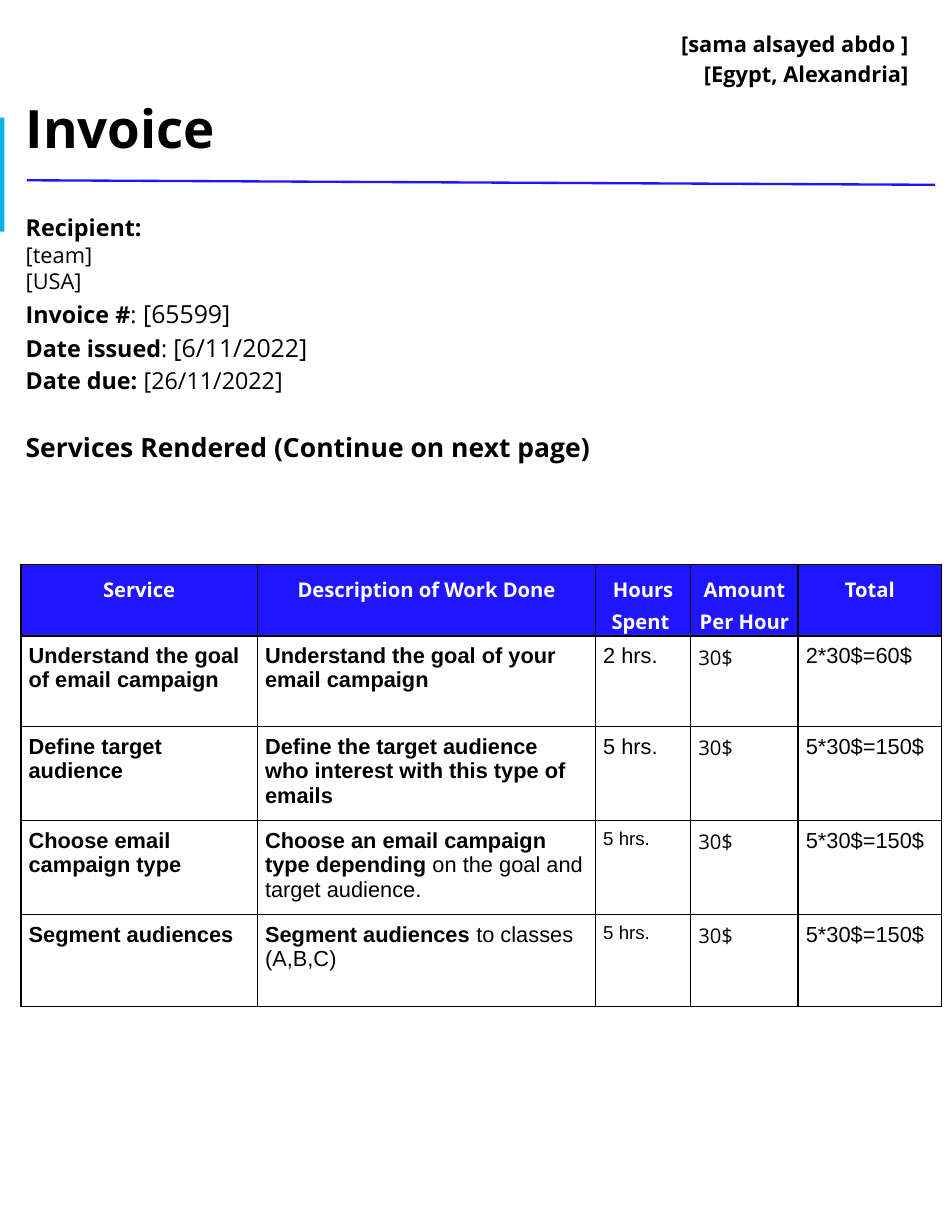
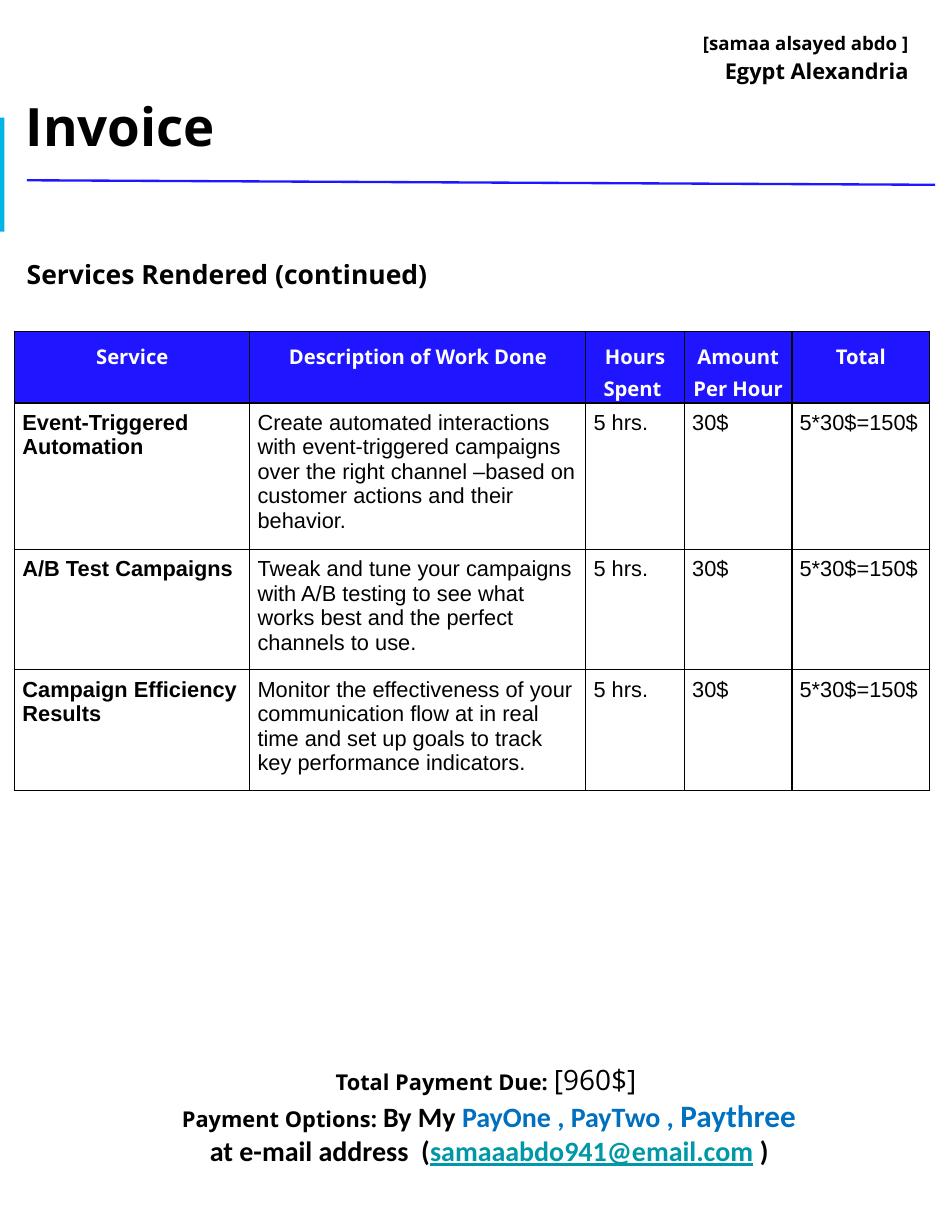
from lxml import etree
from pptx import Presentation
from pptx.dml.color import RGBColor
from pptx.enum.shapes import MSO_CONNECTOR as Connector, MSO_SHAPE as Shape
from pptx.enum.text import MSO_ANCHOR as Anchor, PP_ALIGN as Align
from pptx.oxml.ns import qn
from pptx.util import Pt

COLORS = {
    "black": "000000", "white": "FFFFFF", "rule": "2015FF", "accent": "02B4E5",
    "provider": "006FC0", "last_provider": "0070C0", "link": "0097A7",
}
HEADING_FONT, CELL_FONT, PAYMENT_FONT = "Open Sans", "Arial", "Calibri"
LOOSE = 1.15
BLANK_LINE = 20.5
HEADERS = ["Service", "Description of Work Done", "Hours Spent ", "Amount Per Hour", "Total"]


def rgb(name):
    return RGBColor.from_string(COLORS[name])


def styled(text, size=14, bold=False, font=HEADING_FONT, color="black", underline=False):
    """Describe one run of text and its format."""
    return dict(text=text, size=size, bold=bold, font=font, color=color, underline=underline)


def line(*runs, align=Align.LEFT, spacing=1.0, before=0):
    """Describe one paragraph made of styled runs."""
    return dict(runs=runs, align=align, spacing=spacing, before=before)


def cell_text(text, **style):
    return styled(text, **{"font": CELL_FONT, **style})


class InvoicePage:
    """Holds the presentation and draws on its current slide."""

    def __init__(self, presentation):
        self.presentation = presentation
        self.slide = None

    def new_slide(self, sender_lines, title="Invoice"):
        self.slide = self.presentation.slides.add_slide(self.presentation.slide_layouts[6])
        background = self.slide.background.fill
        background.solid()
        background.fore_color.rgb = rgb("white")
        self.bar(0, 75.6, 2.9, 73.4, "accent")
        sender = [line(run, align=Align.RIGHT, spacing=LOOSE) for run in sender_lines]
        heading = line(styled(title, size=34, bold=True), align=Align.JUSTIFY, spacing=LOOSE)
        self.text(9.4, 15.8, 581.8, 87.8, sender + [heading], anchor=Anchor.MIDDLE)
        self.rule(17.3, 115.9, 601.2, 118.8)

    def bar(self, left, top, width, height, color):
        shape = self.slide.shapes.add_shape(
            Shape.RECTANGLE, Pt(left), Pt(top), Pt(width), Pt(height))
        shape.shadow.inherit = False
        shape.fill.solid()
        shape.fill.fore_color.rgb = rgb(color)
        shape.line.fill.background()

    def rule(self, x1, y1, x2, y2):
        connector = self.slide.shapes.add_connector(
            Connector.STRAIGHT, Pt(x1), Pt(y1), Pt(x2), Pt(y2))
        connector.line.color.rgb = rgb("rule")
        connector.line.width = Pt(1.5)
        etree.SubElement(connector._element.spPr, qn("a:effectLst"))

    def text(self, left, top, width, height, lines, anchor=Anchor.TOP):
        box = self.slide.shapes.add_textbox(Pt(left), Pt(top), Pt(width), Pt(height))
        frame = box.text_frame
        frame.word_wrap = True
        frame.vertical_anchor = anchor
        frame.margin_left = frame.margin_right = Pt(7.2)
        frame.margin_top = frame.margin_bottom = Pt(7.2)
        self.put_lines(frame, lines)

    def put_lines(self, frame, lines):
        for index, content in enumerate(lines):
            paragraph = frame.add_paragraph() if index else frame.paragraphs[0]
            paragraph.alignment = content["align"]
            paragraph.line_spacing = content["spacing"]
            paragraph.space_before = Pt(content["before"])
            for style in content["runs"]:
                run = paragraph.add_run()
                run.text = style["text"]
                run.font.name = style["font"]
                run.font.size = Pt(style["size"])
                run.font.bold = style["bold"]
                run.font.underline = style["underline"]
                run.font.color.rgb = rgb(style["color"])

    def table(self, left, top, widths, heights, rows):
        """Draw the service table: the shared header, then rows of run lists."""
        frame = self.slide.shapes.add_table(
            len(heights), len(widths), Pt(left), Pt(top), Pt(sum(widths)), Pt(sum(heights)))
        table = frame.table
        table.horz_banding = False
        for column, width in zip(table.columns, widths):
            column.width = Pt(width)
        for row, height in zip(table.rows, heights):
            row.height = Pt(height)
        header = [line(styled(text, size=13, bold=True, color="white"),
                       align=Align.CENTER, spacing=LOOSE) for text in HEADERS]
        body = [[line(*runs) for runs in row] for row in rows]
        for row_index, row in enumerate([header] + body):
            for column_index, content in enumerate(row):
                cell = table.cell(row_index, column_index)
                self.fill_cell(cell, content, "rule" if row_index == 0 else None)

    def fill_cell(self, cell, content, fill):
        cell.margin_left = cell.margin_right = Pt(5)
        cell.margin_top = cell.margin_bottom = Pt(5)
        cell.vertical_anchor = Anchor.TOP
        self.put_lines(cell.text_frame, [content])
        properties = cell._tc.get_or_add_tcPr()
        for side in ("lnL", "lnR", "lnT", "lnB"):
            border = etree.SubElement(properties, qn(f"a:{side}"), w=str(Pt(1)))
            solid = etree.SubElement(border, qn("a:solidFill"))
            etree.SubElement(solid, qn("a:srgbClr"), val=COLORS["black"])
        if fill:
            cell.fill.solid()
            cell.fill.fore_color.rgb = rgb(fill)
        else:
            cell.fill.background()


def first_page(page):
    page.new_slide([styled("[sama alsayed abdo ]", bold=True),
                    styled("[Egypt, Alexandria]", bold=True)])

    def label(text):
        return styled(text, size=15, bold=True)

    page.text(9.4, 127.4, 591.1, 196.6, [
        line(label("Recipient: "), align=Align.JUSTIFY, spacing=LOOSE),
        line(styled("[team]")),
        line(styled("[USA]")),
        line(label("Invoice #"), styled(":", size=15), styled(" [65599]", size=16),
             spacing=LOOSE),
        line(label("Date issued"), styled(": ", size=15), styled("[6/11/2022]", size=16),
             spacing=LOOSE),
        line(label("Date due: "), styled("[26/11/2022]", size=15), spacing=LOOSE),
        line(styled("Services Rendered (Continue on next page)", size=17, bold=True),
             spacing=LOOSE, before=BLANK_LINE),
    ])
    # service, bold and plain parts of the description, hours, size of hours, total
    services = [
        ("Understand the goal of email campaign",
         "Understand the goal of your email campaign", "", "2 hrs.", 14, "2*30$=60$"),
        ("Define target audience",
         "Define the target audience who interest with this type of emails", "",
         "5 hrs.", 14, "5*30$=150$"),
        ("Choose email campaign type", "Choose an email campaign type depending ",
         "on the goal and target audience.", "5 hrs.", 12, "5*30$=150$"),
        ("Segment audiences", "Segment audiences ", "to classes (A,B,C)",
         "5 hrs.", 12, "5*30$=150$"),
    ]
    rows = []
    for service, strong, plain, hours, hours_size, total in services:
        description = [cell_text(strong, bold=True)]
        if plain:
            description.append(cell_text(plain))
        rows.append([[cell_text(service, bold=True)], description,
                     [cell_text(hours, size=hours_size)], [styled("30$", size=13)],
                     [cell_text(total)]])
    page.table(13.4, 362.9, [152, 217.4, 61.2, 69.1, 92.2],
               [43.5, 58.3, 60.5, 60.5, 59], rows)


def second_page(page):
    page.new_slide([styled("[samaa alsayed abdo ]", size=12, bold=True),
                    styled("Egypt Alexandria", bold=True)])
    page.text(10.1, 156, 591.1, 56, [
        line(styled("Services Rendered (continued)", size=17, bold=True), spacing=LOOSE)])
    services = [
        ("Event-Triggered Automation",
         "Create automated interactions with event-triggered campaigns over the right "
         "channel –based on customer actions and their behavior."),
        ("A/B Test Campaigns",
         "Tweak and tune your campaigns with A/B testing to see what works best and "
         "the perfect channels to use."),
        ("Campaign Efficiency Results",
         "Monitor the effectiveness of your communication flow at in real time and "
         "set up goals to track key performance indicators."),
    ]
    rows = [[[cell_text(service, bold=True)]]
            + [[cell_text(text)] for text in (description, "5 hrs.", "30$", "5*30$=150$")]
            for service, description in services]
    page.table(9.4, 213.1, [151.2, 216, 63.4, 69.1, 88.6], [43.5, 94, 77.5, 77.5], rows)

    def payment(text, size=18, **style):
        return styled(text, size=size, bold=True, font=PAYMENT_FONT, **style)

    page.text(43.9, 676, 537.1, 116.6, [
        line(styled("Total Payment Due: ", bold=True), styled("[960$]", size=18),
             align=Align.CENTER),
        line(styled(" Payment Options: ", bold=True), payment("By My "),
             payment("PayOne , PayTwo , ", color="provider"),
             payment("Paythree", size=20, color="last_provider"), align=Align.CENTER),
        line(payment(" at e-mail address  ("),
             payment("samaaabdo941@email.com", color="link", underline=True),
             payment(" )"), align=Align.CENTER),
    ])


def main():
    presentation = Presentation()
    presentation.slide_width, presentation.slide_height = Pt(612), Pt(792)
    page = InvoicePage(presentation)
    first_page(page)
    second_page(page)
    presentation.save("out.pptx")


if __name__ == "__main__":
    main()
